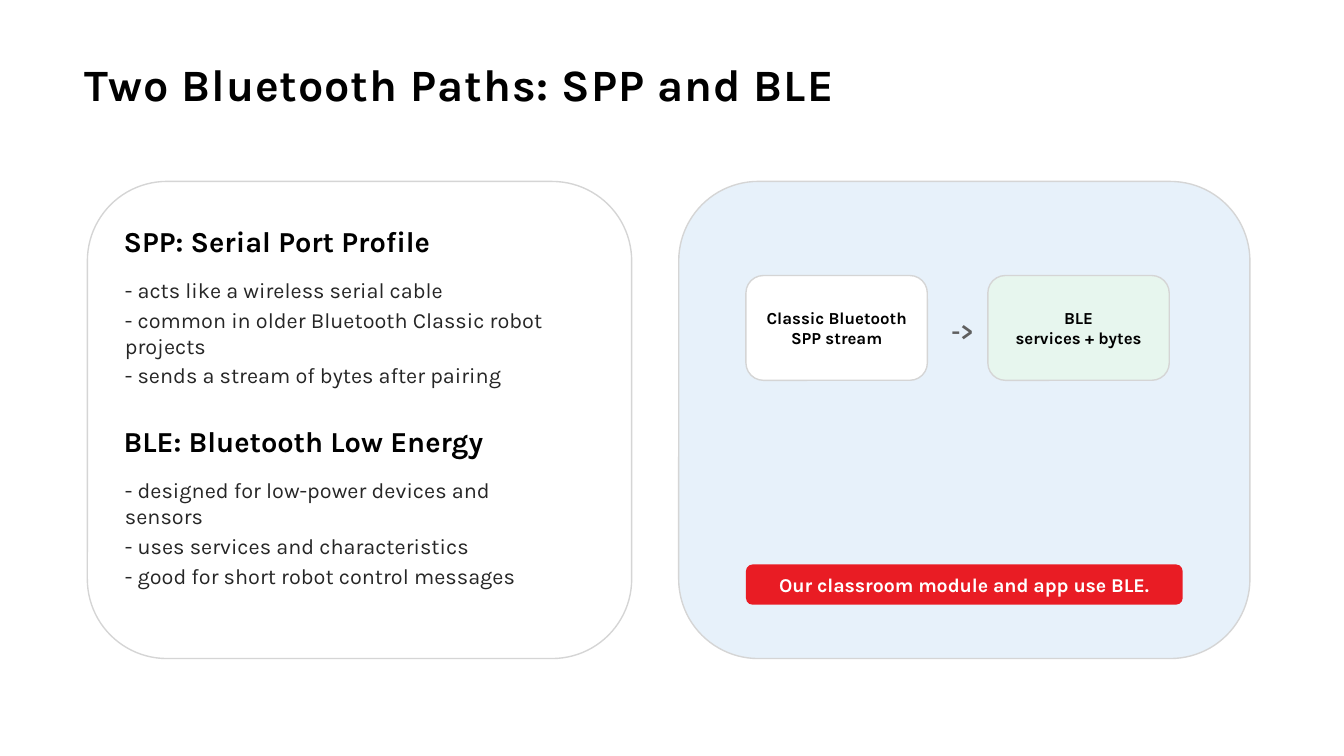
from pptx import Presentation
from pptx.dml.color import RGBColor
from pptx.enum.shapes import MSO_SHAPE
from pptx.enum.text import MSO_ANCHOR, MSO_AUTO_SIZE, PP_ALIGN
from pptx.util import Inches, Pt

ROUNDED = MSO_SHAPE.ROUNDED_RECTANGLE
TOP, MIDDLE = MSO_ANCHOR.TOP, MSO_ANCHOR.MIDDLE
LEFT, CENTER = PP_ALIGN.LEFT, PP_ALIGN.CENTER
FIT_SHAPE, FIXED = MSO_AUTO_SIZE.SHAPE_TO_FIT_TEXT, MSO_AUTO_SIZE.NONE

FONT = "Karla"
COLORS = {
    "black": "000000", "body": "262626", "arrow": "5F5F5F", "white": "FFFFFF",
    "border": "D5D5D5", "blue": "E7F1FA", "green": "E7F6EE", "red": "E91C24",
}
PROFILES = [
    ("SPP: Serial Port Profile", [
        "- acts like a wireless serial cable",
        "- common in older Bluetooth Classic robot projects",
        "- sends a stream of bytes after pairing",
    ]),
    ("BLE: Bluetooth Low Energy", [
        "- designed for low-power devices and sensors",
        "- uses services and characteristics",
        "- good for short robot control messages",
    ]),
]
PATHS = [
    (["Classic Bluetooth", "SPP stream"], "white"),
    (["BLE", "services + bytes"], "green"),
]


def color(name):
    return RGBColor.from_string(COLORS[name])


def set_frame(frame, anchor, margin_x, margin_y=0.01, fit=FIXED):
    frame.word_wrap = True
    frame.auto_size = fit
    frame.vertical_anchor = anchor
    frame.margin_left = frame.margin_right = Inches(margin_x)
    frame.margin_top = frame.margin_bottom = Inches(margin_y)


def write(paragraph, lines, size, color_name, bold=True, align=LEFT):
    """Add one run per line, with line breaks between them."""
    paragraph.alignment = align
    for index, line in enumerate(lines):
        if index:
            paragraph.add_line_break()
        run = paragraph.add_run()
        run.text = line
        run.font.name = FONT
        run.font.size = Pt(size)
        run.font.bold = bold
        run.font.color.rgb = color(color_name)


def add_text(slide, box, paragraphs, size, color_name, bold=True,
             align=LEFT, margin=0.02, space_after=0):
    frame = slide.shapes.add_textbox(*map(Inches, box)).text_frame
    set_frame(frame, TOP, margin, fit=FIT_SHAPE)
    for index, text in enumerate(paragraphs):
        paragraph = frame.add_paragraph() if index else frame.paragraphs[0]
        paragraph.space_after = Pt(space_after)
        write(paragraph, [text], size, color_name, bold, align)


def add_card(slide, box, fill, border="border"):
    shape = slide.shapes.add_shape(ROUNDED, *map(Inches, box))
    shape.shadow.inherit = False
    shape.fill.solid()
    shape.fill.fore_color.rgb = color(fill)
    if border:
        shape.line.color.rgb = color(border)
        shape.line.width = Pt(0.75)
    else:
        shape.line.fill.background()
    return shape


def add_label(shape, lines, size, color_name, margin):
    set_frame(shape.text_frame, MIDDLE, margin)
    write(shape.text_frame.paragraphs[0], lines, size, color_name, align=CENTER)


def add_title(slide, box, text):
    title = slide.shapes.title
    title.left, title.top, title.width, title.height = map(Inches, box)
    set_frame(title.text_frame, TOP, 0, 0)
    paragraph = title.text_frame.paragraphs[0]
    paragraph.line_spacing = 0.9
    write(paragraph, [text], 24, "black")
    # Letter spacing, in hundredths of a point
    paragraph.runs[0].font._element.set("spc", "50")


def add_profiles(slide, box):
    """Card with a heading and a list for each profile."""
    left, top, width, _ = box
    add_card(slide, box, "white")
    for index, (heading, items) in enumerate(PROFILES):
        x, y = left + 0.25, top + 0.3 + index * 1.49
        add_text(slide, (x, y, width - 0.5, 0.22), [heading], 15.5, "black")
        add_text(slide, (x, y + 0.4, width - 0.65, 0.92), items, 11.6, "body",
                 bold=False, margin=0.03, space_after=2)


def add_path_diagram(slide, box):
    """Panel with two linked boxes and a closing banner."""
    left, top, _, _ = box
    x, y = left + 0.5, top + 0.7
    add_card(slide, box, "blue")
    (first_lines, first_fill), (second_lines, second_fill) = PATHS
    first = add_card(slide, (x, y, 1.35, 0.78), first_fill)
    add_label(first, first_lines, 9, "black", 0.04)
    add_text(slide, (x + 1.45, y + 0.29, 0.32, 0.18), ["->"], 13, "arrow",
             align=CENTER)
    second = add_card(slide, (x + 1.8, y, 1.35, 0.78), second_fill)
    add_label(second, second_lines, 9, "black", 0.04)
    banner = add_card(slide, (x, top + 2.85, 3.25, 0.3), "red", border=None)
    add_label(banner, ["Our classroom module and app use BLE."], 10.5, "white", 0.05)


def main():
    presentation = Presentation()
    # Widescreen, 16:9
    presentation.slide_width = Inches(10)
    presentation.slide_height = Inches(10 * 9 / 16)
    slide = presentation.slides.add_slide(presentation.slide_layouts[5])
    slide.background.fill.solid()
    slide.background.fill.fore_color.rgb = color("white")

    add_title(slide, (0.63, 0.47, 8.75, 0.73), "Two Bluetooth Paths: SPP and BLE")
    add_profiles(slide, (0.65, 1.35, 4.05, 3.55))
    add_path_diagram(slide, (5.05, 1.35, 4.25, 3.55))
    presentation.save("out.pptx")


if __name__ == "__main__":
    main()
